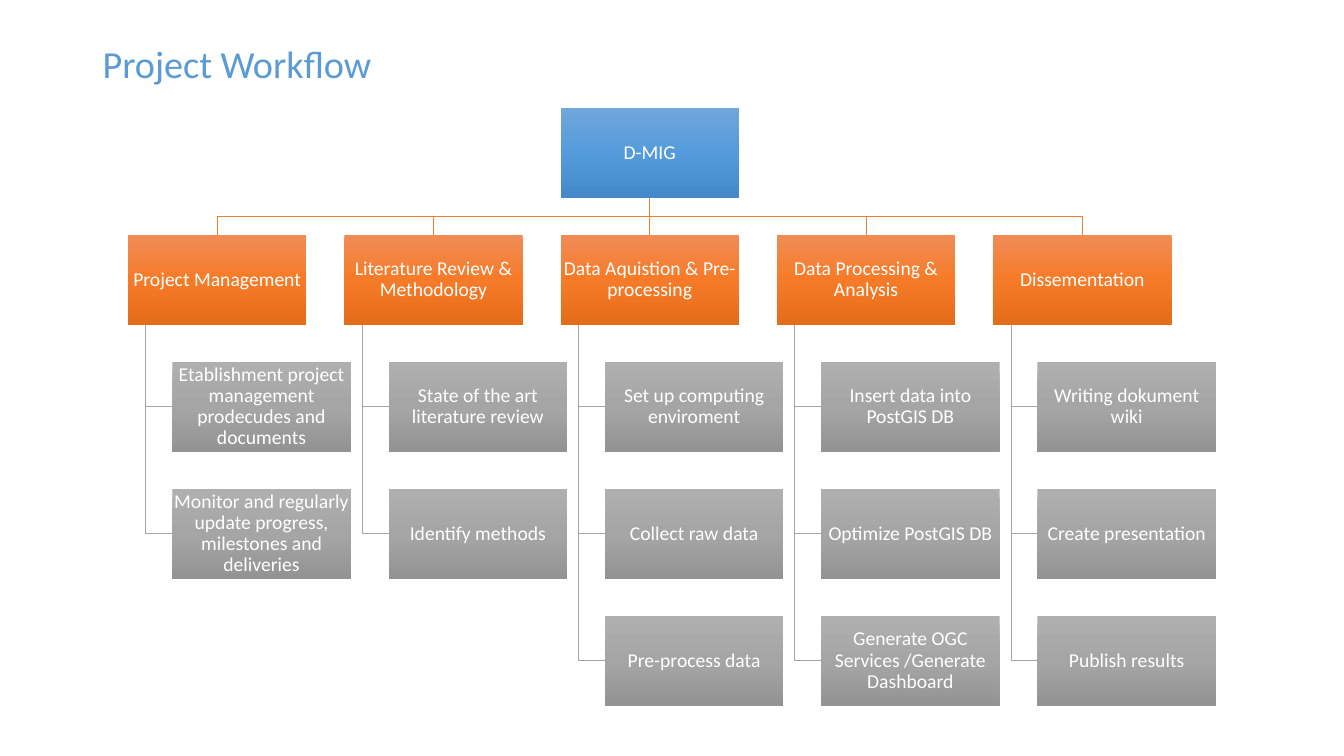
from copy import deepcopy

from lxml.etree import SubElement
from pptx import Presentation
from pptx.dml.color import RGBColor
from pptx.enum.shapes import MSO_CONNECTOR as Connector, MSO_SHAPE as Preset
from pptx.enum.text import MSO_ANCHOR as Anchor, PP_ALIGN as Align
from pptx.oxml.ns import qn
from pptx.util import Inches, Pt

WHITE = RGBColor(0xFF, 0xFF, 0xFF)
TITLE_BLUE = RGBColor(0x5B, 0x9B, 0xD5)
LINK_ORANGE = RGBColor(0xED, 0x7D, 0x31)
LINK_GREY = RGBColor(0xA5, 0xA5, 0xA5)
# Gradients from top to bottom
BLUES = (RGBColor(0x71, 0xA6, 0xDB), RGBColor(0x55, 0x9B, 0xDB), RGBColor(0x44, 0x8A, 0xCA))
ORANGES = (RGBColor(0xF1, 0x8C, 0x57), RGBColor(0xF6, 0x7B, 0x28), RGBColor(0xE5, 0x6C, 0x19))
GREYS = (RGBColor(0xAF, 0xAF, 0xAF), RGBColor(0xA5, 0xA5, 0xA5), RGBColor(0x93, 0x93, 0x93))

# Grid of the chart, in inches
LEFT, TOP = 1.27, 1.07
BOX_WIDTH, BOX_HEIGHT = 1.77, 0.89
COLUMN_PITCH = (9.85 - LEFT) / 4
ROW_PITCH = 1.26
TASK_INDENT = 0.44 / COLUMN_PITCH  # in columns
SPINE_SHARE = 0.1  # of the heading's width

ROOT = "D-MIG"
ROOT_COLUMN = 2
WORK_PACKAGES = [
    ("Project Management", [
        "Etablishment project management prodecudes and documents",
        "Monitor and regularly update progress, milestones and deliveries"]),
    ("Literature Review & Methodology", [
        "State of the art literature review", "Identify methods"]),
    ("Data Aquistion & Pre-processing", [
        "Set up computing enviroment", "Collect raw data", "Pre-process data"]),
    ("Data Processing & Analysis", [
        "Insert data into PostGIS DB", "Optimize PostGIS DB",
        "Generate OGC Services /Generate Dashboard"]),
    ("Dissementation", [
        "Writing dokument wiki", "Create presentation", "Publish results"]),
]


class WorkflowSlide:
    """Draws the elements of the chart in one style on one slide."""

    font_name = "Calibri"
    box_size = 14
    title_size = 27.3
    line_width = Pt(0.5)

    def __init__(self, presentation):
        self.slide = presentation.slides.add_slide(presentation.slide_layouts[6])
        self.shapes = self.slide.shapes

    def set_text(self, shape, text, size, color, align):
        text_frame = shape.text_frame
        text_frame.word_wrap = True
        text_frame.text = text
        paragraph = text_frame.paragraphs[0]
        paragraph.alignment = align
        paragraph.line_spacing = 0.9
        font = paragraph.runs[0].font
        font.name, font.size, font.color.rgb = self.font_name, Pt(size), color
        return text_frame

    def title(self, text):
        shape = self.shapes.add_textbox(Inches(0.92), Inches(0.4), Inches(11.5), Inches(1.17))
        self.set_text(shape, text, self.title_size, TITLE_BLUE, Align.LEFT)

    def box(self, text, column, row, colors):
        shape = self.shapes.add_shape(
            Preset.RECTANGLE,
            Inches(LEFT + column * COLUMN_PITCH), Inches(TOP + row * ROW_PITCH),
            Inches(BOX_WIDTH), Inches(BOX_HEIGHT))
        shape.shadow.inherit = False
        shape.line.fill.background()
        self.gradient(shape, colors)
        text_frame = self.set_text(shape, text, self.box_size, WHITE, Align.CENTER)
        text_frame.vertical_anchor = Anchor.MIDDLE
        text_frame.margin_left = text_frame.margin_right = Inches(0.01)
        text_frame.margin_top = text_frame.margin_bottom = Inches(0.01)
        return shape

    def gradient(self, shape, colors):
        shape.fill.gradient()
        shape.fill.gradient_angle = 270
        stop_list = shape._element.spPr.find(qn("a:gradFill")).find(qn("a:gsLst"))
        stop_list.append(deepcopy(stop_list[-1]))
        for index, (stop, color) in enumerate(zip(shape.fill.gradient_stops, colors)):
            stop.position = index / 2
            stop.color.rgb = color

    def elbow(self, points, color):
        builder = self.shapes.build_freeform(*points[0])
        builder.add_line_segments(points[1:], close=False)
        shape = builder.convert_to_shape()
        shape.shadow.inherit = False
        shape.fill.background()
        shape.line.color.rgb, shape.line.width = color, self.line_width

    def link_heading(self, root, heading):
        start_x, end_x = (box.left + box.width // 2 for box in (root, heading))
        start_y, end_y = root.top + root.height, heading.top
        if abs(start_x - end_x) > Pt(1):
            middle_y = (start_y + end_y) // 2
            self.elbow([(start_x, start_y), (start_x, middle_y),
                        (end_x, middle_y), (end_x, end_y)], LINK_ORANGE)
            return
        connector = self.shapes.add_connector(
            Connector.STRAIGHT, start_x, start_y, end_x, end_y)
        connector.begin_connect(root, 2)
        connector.end_connect(heading, 0)
        connector.line.color.rgb, connector.line.width = LINK_ORANGE, self.line_width
        SubElement(connector._element.spPr, qn("a:effectLst"))

    def link_task(self, heading, task):
        spine_x = heading.left + int(heading.width * SPINE_SHARE)
        middle_y = task.top + task.height // 2
        self.elbow([(spine_x, heading.top + heading.height),
                    (spine_x, middle_y), (task.left, middle_y)], LINK_GREY)


def main():
    presentation = Presentation()
    presentation.slide_width, presentation.slide_height = Inches(13.33), Inches(7.5)
    workflow = WorkflowSlide(presentation)
    workflow.title("Project Workflow")

    # Root, headings and their tasks
    root = workflow.box(ROOT, ROOT_COLUMN, 0, BLUES)
    for column, (name, tasks) in enumerate(WORK_PACKAGES):
        heading = workflow.box(name, column, 1, ORANGES)
        workflow.link_heading(root, heading)
        for row, text in enumerate(tasks, start=2):
            task = workflow.box(text, column + TASK_INDENT, row, GREYS)
            workflow.link_task(heading, task)

    presentation.save("out.pptx")


if __name__ == "__main__":
    main()
